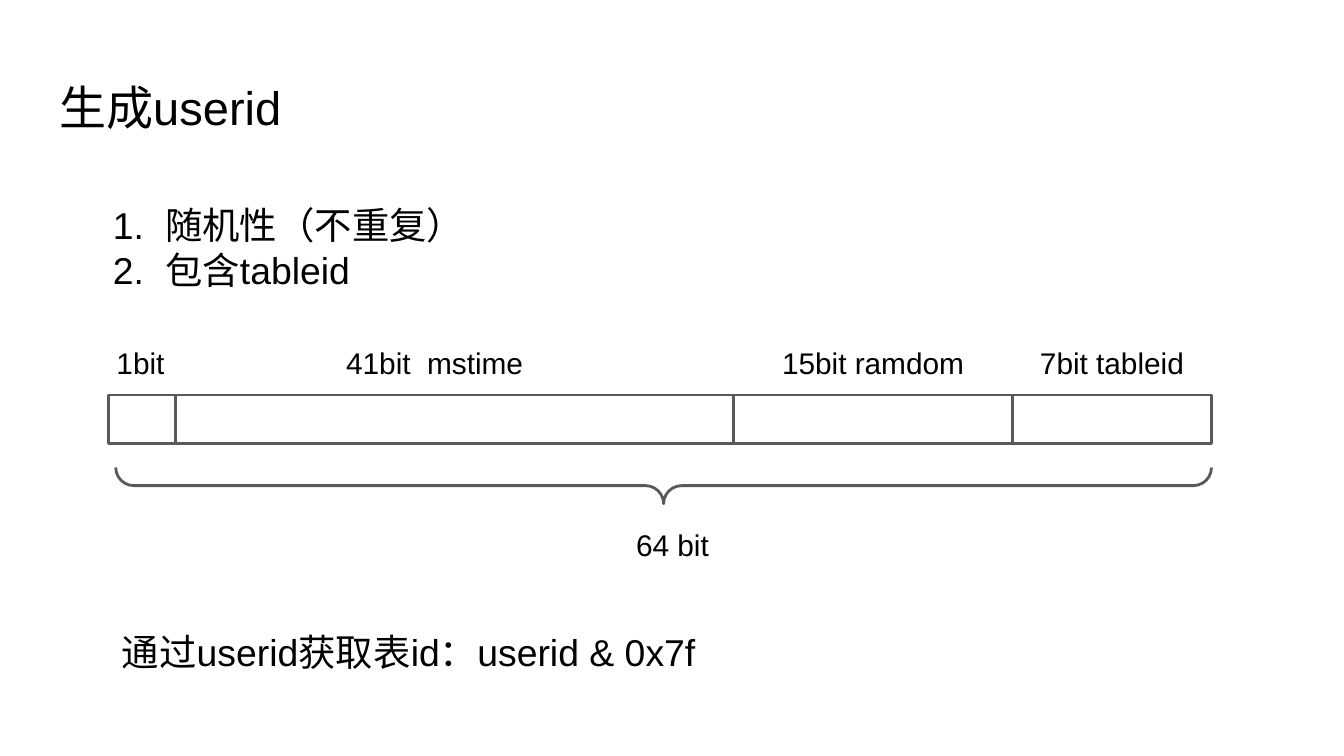
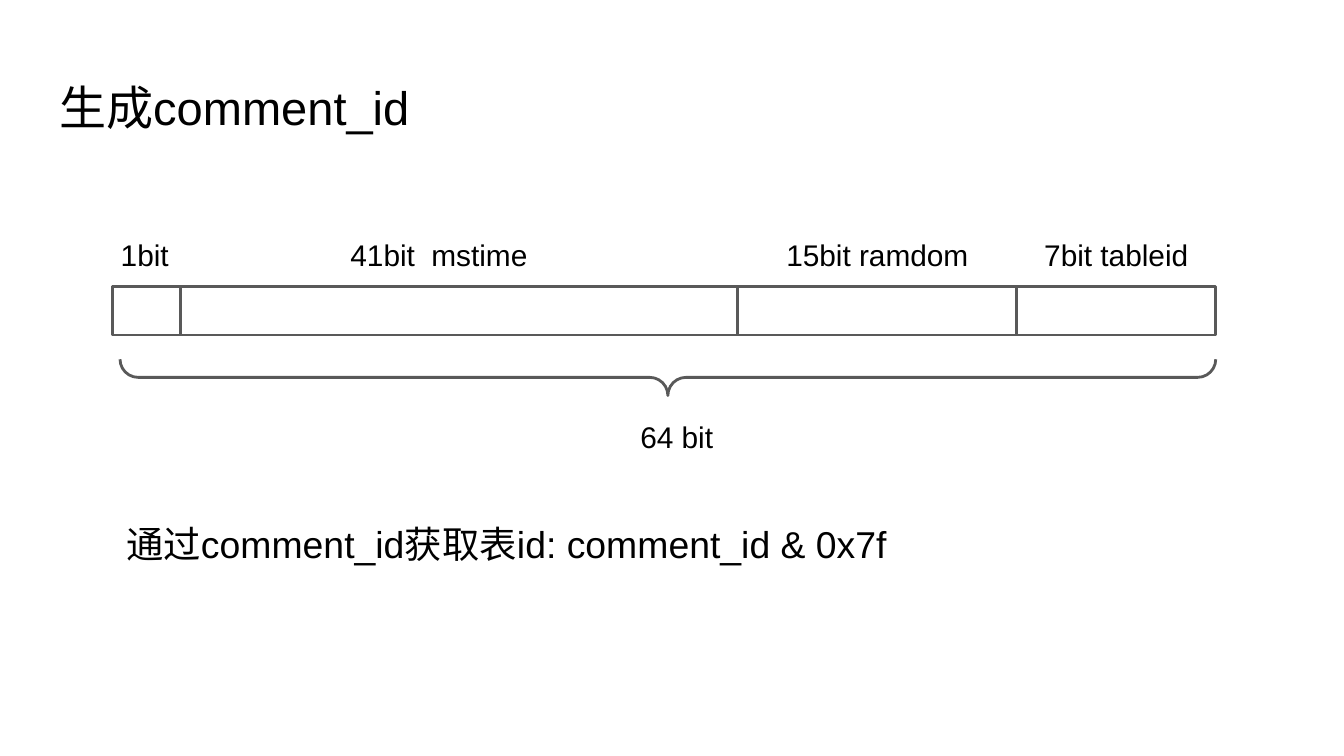
"""Build two slides on the bit layout of generated ids."""
from itertools import accumulate

from lxml import etree
from pptx import Presentation
from pptx.dml.color import RGBColor
from pptx.enum.shapes import MSO_SHAPE
from pptx.enum.text import MSO_ANCHOR, MSO_AUTO_SIZE, PP_ALIGN
from pptx.oxml.ns import qn
from pptx.util import Pt

RECT, BRACE = MSO_SHAPE.RECTANGLE, MSO_SHAPE.RIGHT_BRACE
TOP = MSO_ANCHOR.TOP
FIXED, GROW = MSO_AUTO_SIZE.NONE, MSO_AUTO_SIZE.SHAPE_TO_FIT_TEXT
LEFT, CENTER = PP_ALIGN.LEFT, PP_ALIGN.CENTER

HUES = {"text": "000000", "line": "595959", "fill": "FFFFFF"}
FONT = "Arial"
SIZES = {"title": 25.2, "body": 20, "label": 16}
PAD = Pt(7.2)
FRAME = {
    "word_wrap": True,
    "vertical_anchor": TOP,
    "margin_left": PAD,
    "margin_right": PAD,
    "margin_top": PAD,
    "margin_bottom": PAD,
}
WIDTHS = (36, 298.8, 149.4, 106.6)
BAR_H = 25.9
LABEL_H = 33.8
LABELS = (
    ("1bit", -2.9, 41.8, LEFT),
    ("41bit  mstime", 49, 251.3, CENTER),
    ("15bit ramdom", 334.8, 149.4, CENTER),
    ("7bit tableid", 484.2, 106.6, CENTER),
)


def hue(name):
    """Return a named colour."""
    return RGBColor.from_string(HUES[name])


def apply(item, values):
    """Set attributes from a dict of values."""
    for key, value in values.items():
        setattr(item, key, value)


def write(shape, lines, size, align=LEFT, fit=GROW):
    """Fill a shape with formatted paragraphs."""
    frame = shape.text_frame
    frame.text = "\n".join(lines)
    apply(frame, FRAME | {"auto_size": fit})
    for para in frame.paragraphs:
        para.alignment = align
        for run in para.runs:
            apply(run.font, {"name": FONT, "size": Pt(SIZES[size])})
            run.font.color.rgb = hue("text")
            props = run.font._element
            etree.SubElement(props, qn("a:ea"), typeface=FONT)


def add_title(slide, text):
    """Place and fill the title."""
    title = slide.shapes.title
    apply(title, {"left": Pt(24.5), "top": Pt(35), "width": Pt(671), "height": Pt(45)})
    write(title, [text], "title", fit=FIXED)


def add_text(slide, lines, box, size, align=LEFT):
    """Add a text box and return it."""
    shape = slide.shapes.add_textbox(*map(Pt, box))
    write(shape, lines, size, align)
    return shape


def add_list(slide, lines, box):
    """Add a numbered list."""
    shape = add_text(slide, lines, box, "body")
    for para in shape.text_frame.paragraphs:
        props = para._p.get_or_add_pPr()
        props.set("marL", str(Pt(36)))
        props.set("indent", str(Pt(-28)))
        tint = etree.SubElement(props, qn("a:buClr"))
        etree.SubElement(tint, qn("a:srgbClr"), val=HUES["text"])
        etree.SubElement(props, qn("a:buAutoNum"), type="arabicPeriod")


def add_form(slide, kind, box, filled=True):
    """Add an outlined preset shape and return it."""
    shape = slide.shapes.add_shape(kind, *map(Pt, box))
    shape.shadow.inherit = False
    if filled:
        shape.fill.solid()
        shape.fill.fore_color.rgb = hue("fill")
    else:
        shape.fill.background()
    shape.line.color.rgb = hue("line")
    shape.line.width = Pt(1.5)
    return shape


def add_brace(slide, x, y, width, depth):
    """Add a brace that opens upward over the given area."""
    box = (x + (width - depth) / 2, y + (depth - width) / 2, depth, width)
    brace = add_form(slide, BRACE, box, filled=False)
    brace.rotation = 90
    for i in range(2):
        brace.adjustments[i] = 0.5


def add_bits(slide, x, y, rule):
    """Add the bit bar with labels, brace and lookup rule."""
    for start, width in zip(accumulate(WIDTHS, initial=x), WIDTHS):
        add_form(slide, RECT, (start, y, width, BAR_H))
    for text, dx, width, align in LABELS:
        add_text(slide, [text], (x + dx, y - 34.2, width, LABEL_H), "label", align)
    add_brace(slide, x + 3.8, y + 38.9, 587, 19.4)
    add_text(slide, ["64 bit"], (x + 176.4, y + 63.6, 251.3, LABEL_H), "label", CENTER)
    add_text(slide, [rule], (x, y + 118.4, 471.6, 39), "body")


def main():
    """Build and save the deck."""
    deck = Presentation()
    apply(deck, {"slide_width": Pt(720), "slide_height": Pt(405)})
    pages = (
        ("生成userid", 58.2, 211.6, "通过userid获取表id：userid & 0x7f",
         ("随机性（不重复）", "包含tableid")),
        ("生成comment_id", 60.5, 153.6,
         "通过comment_id获取表id: comment_id & 0x7f", ()),
    )
    for title, x, y, rule, goals in pages:
        slide = deck.slides.add_slide(deck.slide_layouts[5])
        add_title(slide, title)
        add_bits(slide, x, y, rule)
        if goals:
            add_list(slide, goals, (45.4, 101, 299, 63))
    deck.save("out.pptx")


if __name__ == "__main__":
    main()
